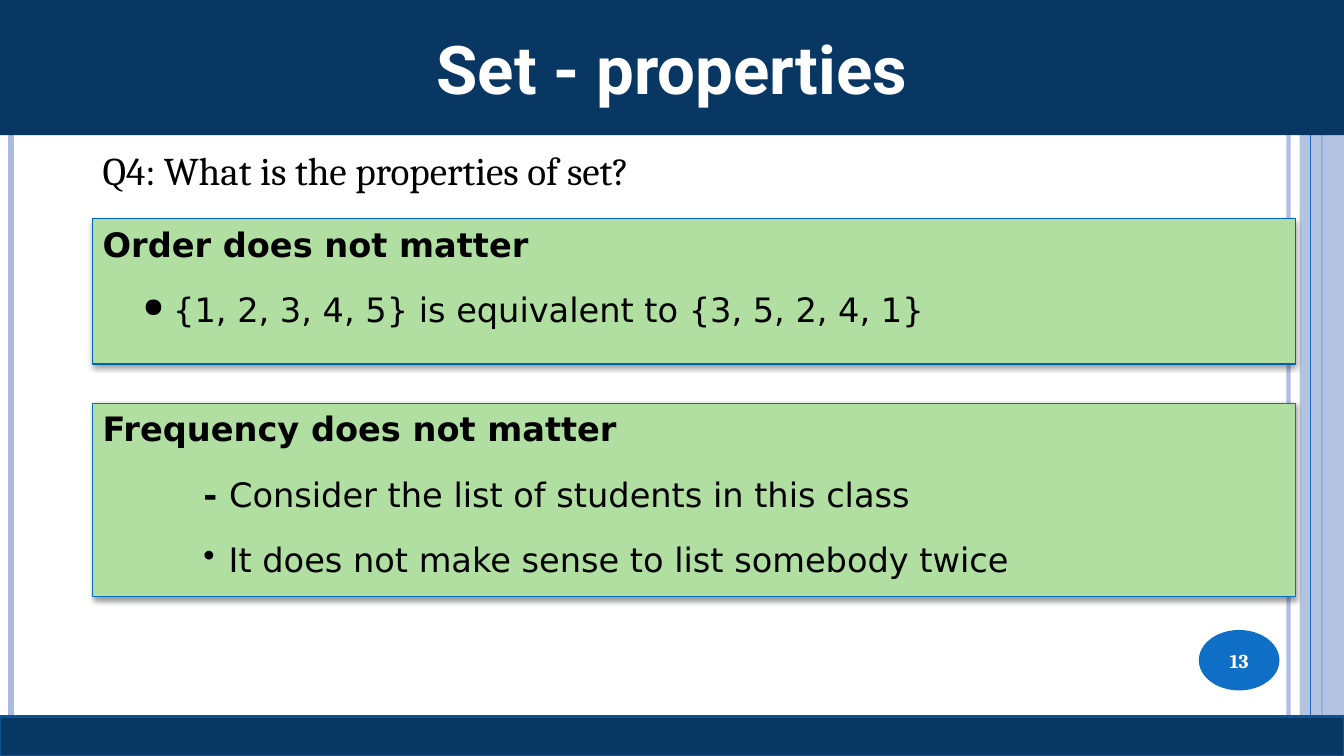
from lxml.etree import SubElement
from pptx import Presentation
from pptx.dml.color import RGBColor
from pptx.enum.shapes import MSO_CONNECTOR as Connector, MSO_SHAPE as Preset
from pptx.enum.text import MSO_ANCHOR as Anchor, PP_ALIGN as Align
from pptx.oxml.ns import qn
from pptx.util import Inches, Pt

WIDTH, HEIGHT = 13.33, 7.5
NAVY, BLUE, LAVENDER, GREEN = "083763", "0F6FC6", "ABBBDF", "B0DFA1"
WHITE, BLACK = "FFFFFF", "000000"


def color(value):
    """Turn a hex string into a colour."""
    return RGBColor.from_string(value)


def set_opacity(element, percent):
    """Set the opacity of the first colour inside an element."""
    tone = element if element.tag == qn("a:srgbClr") else element.find(f".//{qn('a:srgbClr')}")
    SubElement(tone, qn("a:alpha"), val=str(percent * 1000))


def add_rule(slide, x, tone, width, opacity=100):
    """Draw a full-height vertical line."""
    rule = slide.shapes.add_connector(
        Connector.STRAIGHT, Inches(x), Inches(0), Inches(x), Inches(HEIGHT))
    rule.line.color.rgb = color(tone)
    rule.line.width = Pt(width)
    properties = rule._element.spPr
    if opacity < 100:
        set_opacity(properties, opacity)
    SubElement(properties, qn("a:effectLst"))


def add_block(slide, preset, box, fill, line=None, width=1):
    """Draw a filled preset shape without a shadow."""
    shape = slide.shapes.add_shape(preset, *map(Inches, box))
    shape.shadow.inherit = False
    shape.fill.solid()
    shape.fill.fore_color.rgb = color(fill)
    if line:
        shape.line.color.rgb = color(line)
        shape.line.width = Pt(width)
    else:
        shape.line.fill.background()
    return shape


def add_run(paragraph, text, font, size, tone=BLACK, bold=False):
    """Append one formatted run."""
    run = paragraph.add_run()
    run.text = text
    run.font.name = font
    run.font.size = Pt(size)
    run.font.bold = bold
    run.font.color.rgb = color(tone)


def add_label(shape, text, font, size):
    """Centre bold white text in a shape."""
    frame = shape.text_frame
    frame.vertical_anchor = Anchor.MIDDLE
    frame.paragraphs[0].alignment = Align.CENTER
    add_run(frame.paragraphs[0], text, font, size, WHITE, True)


def add_shadow(shape):
    """Give a shape a soft shadow below it."""
    effects = shape._element.spPr.find(qn("a:effectLst"))
    shadow = SubElement(effects, qn("a:outerShdw"), blurRad=str(Pt(4)), dist=str(Pt(2)),
                        dir="5400000", algn="t", rotWithShape="0")
    set_opacity(SubElement(shadow, qn("a:srgbClr"), val=BLACK), 40)


def indent(paragraph, left, hanging=0, bullet=None, scale=100):
    """Indent a paragraph and give it an optional bullet."""
    properties = paragraph._p.get_or_add_pPr()
    properties.set("marL", str(Inches(left)))
    properties.set("indent", str(Inches(-hanging)))
    if bullet:
        tone = SubElement(properties, qn("a:buClr"))
        SubElement(tone, qn("a:srgbClr"), val=BLACK)
        SubElement(properties, qn("a:buSzPct"), val=str(scale * 1000))
        SubElement(properties, qn("a:buChar"), char=bullet)


def add_property_box(slide, top, height, line, width, heading, items):
    """Draw a green box with a heading and indented items."""
    shape = add_block(slide, Preset.RECTANGLE, (0.92, top, 11.93, height), GREEN, line, width)
    add_shadow(shape)
    frame = shape.text_frame
    frame.vertical_anchor = Anchor.TOP
    rows = [([(heading, True)], (0,))] + items
    for index, (runs, layout) in enumerate(rows):
        paragraph = frame.add_paragraph() if index else frame.paragraphs[0]
        paragraph.alignment = Align.LEFT
        paragraph.space_before = Pt(12 if index else 0)
        paragraph.space_after = Pt(6)
        indent(paragraph, *layout)
        for text, bold in runs:
            add_run(paragraph, text, "DejaVu Sans", 24, bold=bold)


def add_question(slide, text):
    """Write the question above the boxes."""
    box = slide.shapes.add_textbox(Inches(0.92), Inches(1.4), Inches(6.26), Inches(0.57))
    box.text_frame.word_wrap = False
    paragraph = box.text_frame.paragraphs[0]
    paragraph.alignment = Align.JUSTIFY
    paragraph.space_after = Pt(6)
    add_run(paragraph, text, "Cambria", 28)


def main():
    """Build and save the slide."""
    presentation = Presentation()
    presentation.slide_width = Inches(WIDTH)
    presentation.slide_height = Inches(HEIGHT)
    slide = presentation.slides.add_slide(presentation.slide_layouts[6])

    add_rule(slide, 12.78, LAVENDER, 3, 93)
    add_rule(slide, 0.11, LAVENDER, 4.5)
    add_rule(slide, 13.11, BLUE, 1.5)
    side_band = add_block(slide, Preset.RECTANGLE, (12.89, 0, 0.44, HEIGHT), LAVENDER)
    set_opacity(side_band._element.spPr, 87)
    add_rule(slide, 13, BLUE, 0.75)

    number = add_block(slide, Preset.OVAL, (11.89, 6.25, 0.8, 0.6), BLUE)
    add_label(number, "13", "Cambria", 14)
    title = add_block(slide, Preset.RECTANGLE, (0, 0, WIDTH, 1.34), NAVY)
    add_label(title, "Set - properties", "Roboto", 48)
    add_block(slide, Preset.RECTANGLE, (0, 7.11, WIDTH, 0.39), NAVY, "0B5292", 2)

    add_question(slide, "Q4: What is the properties of set?")
    add_property_box(slide, 2.17, 1.44, "0060B6", 1, "Order does not matter", [
        ([("{1, 2, 3, 4, 5} is equivalent to {3, 5, 2, 4, 1}", False)], (0.7, 0.3, "●", 80)),
    ])
    add_property_box(slide, 4, 1.92, "0A6DC6", 0.75, "Frequency does not matter", [
        ([("- ", True), ("Consider the list of students in this class", False)], (1,)),
        ([("It does not make sense to list somebody twice", False)], (1.25, 0.25, "•")),
    ])
    presentation.save("out.pptx")


if __name__ == "__main__":
    main()
